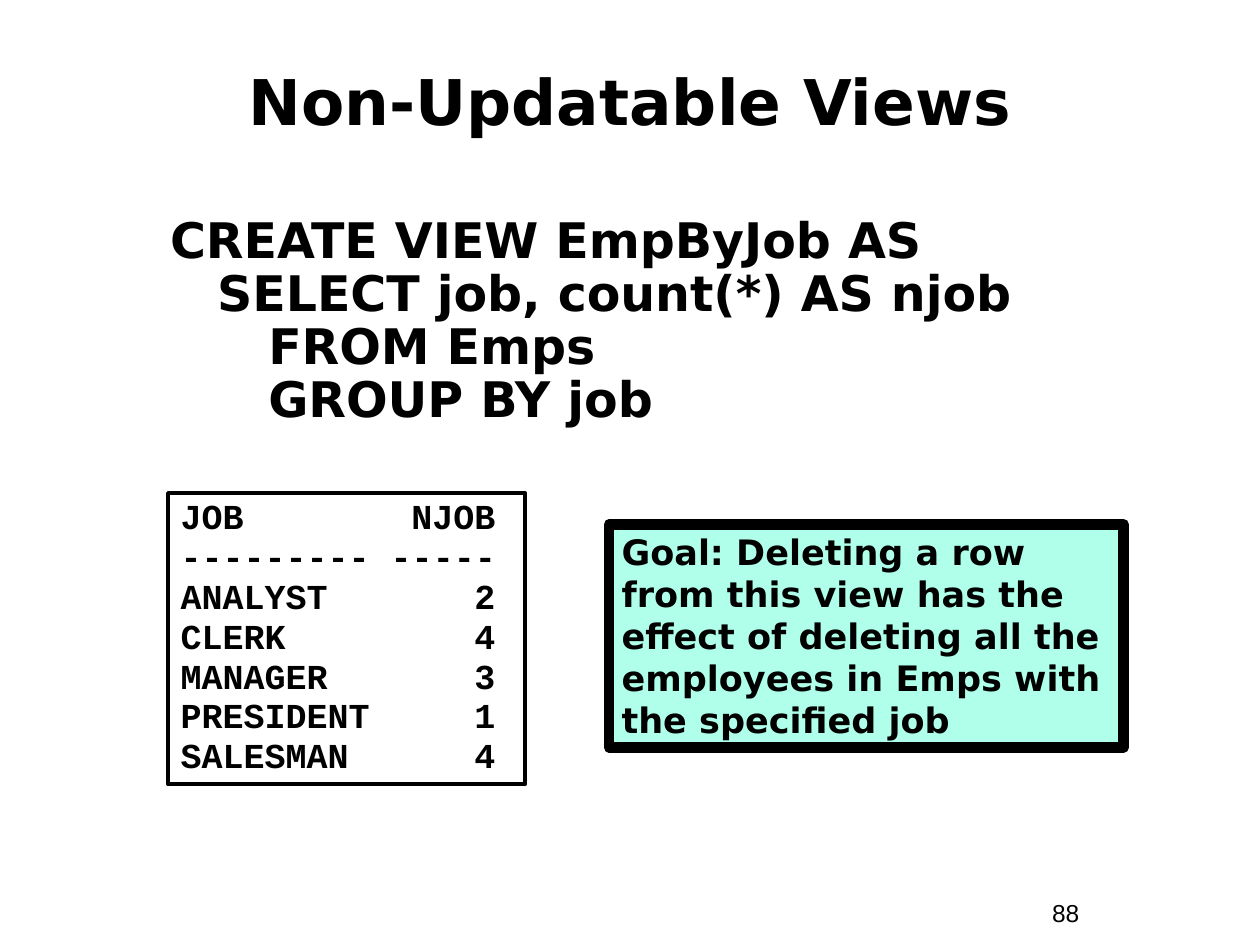
from dataclasses import dataclass
from typing import Optional

import pptx
import pptx.dml.color
import pptx.enum.shapes
import pptx.enum.text
import pptx.oxml
import pptx.oxml.ns
import pptx.util

Cm = pptx.util.Cm
Pt = pptx.util.Pt
ALIGN = pptx.enum.text.PP_ALIGN
ANCHOR = pptx.enum.text.MSO_ANCHOR


@dataclass(frozen=True)
class Theme:
    ink: str = "000000"
    goal_fill: str = "AFFFEA"
    sans: str = "DejaVu Sans"
    mono: str = "Courier New"
    plain: str = "Arial"
    title_size: int = 36
    code_size: int = 28
    box_size: int = 20
    number_size: int = 14


THEME = Theme()


@dataclass(frozen=True)
class Block:
    """A block of text; lengths in centimetres, sizes in points."""
    left: float
    top: float
    width: float
    height: float
    lines: tuple[str, ...]
    font: str
    size: int
    bold: bool = True
    align: ALIGN = ALIGN.LEFT
    anchor: ANCHOR = ANCHOR.TOP
    spacing: float = 1.0
    space_before: float = 0
    hanging: float = 0
    right_tab: float = 0
    border: float = 0
    fill: Optional[str] = None


TITLE = Block(0.85, 0.85, 23.7, 2.33, ("Non-Updatable Views",), THEME.sans,
              THEME.title_size, align=ALIGN.CENTER, anchor=ANCHOR.MIDDLE)

# A vertical tab is a line break inside the paragraph
VIEW_CODE = Block(3.18, 4.23, 18.85, 4.87,
                  ("CREATE VIEW EmpByJob AS \vSELECT job, count(*) AS njob  \v"
                   "   FROM Emps \v   GROUP BY job",),
                  THEME.sans, THEME.code_size, spacing=0.9, hanging=0.95)

JOB_COUNTS = (("ANALYST", 2), ("CLERK", 4), ("MANAGER", 3),
              ("PRESIDENT", 1), ("SALESMAN", 4))
RESULT = Block(3.39, 9.94, 7.2, 5.87,
               ("JOB\tNJOB", "--------- -----",
                *(f"{job}\t{count}" for job, count in JOB_COUNTS)),
               THEME.mono, THEME.box_size, spacing=0.9, space_before=1.2,
               right_tab=6.35, border=2.25)

GOAL = Block(12.28, 10.57, 10.37, 4.5,
             ("Goal: Deleting a row from this view has the effect of deleting "
              "all the employees in Emps with the specified job",),
             THEME.sans, THEME.box_size, border=6, fill=THEME.goal_fill)

PAGE_NUMBER = Block(20.96, 17.98, 2.33, 0.87, ("88",), THEME.plain,
                    THEME.number_size, bold=False)


def colour(value: str) -> pptx.dml.color.RGBColor:
    return pptx.dml.color.RGBColor.from_string(value)


def apply(target: object, values: dict) -> None:
    for name, value in values.items():
        setattr(target, name, value)


def set_indents(para, block: Block) -> None:
    """Add the hanging indent and the right tab stop, where there is one."""
    properties = para._p.get_or_add_pPr()
    if block.hanging:
        properties.set("marL", str(Cm(block.hanging)))
        properties.set("indent", str(-Cm(block.hanging)))
    if block.right_tab:
        properties.append(pptx.oxml.parse_xml(
            f'<a:tabLst {pptx.oxml.ns.nsdecls("a")}>'
            f'<a:tab pos="{Cm(block.right_tab)}" algn="r"/></a:tabLst>'))


def write(box, block: Block) -> None:
    """Place a box and fill it with formatted paragraphs."""
    apply(box, {"left": Cm(block.left), "top": Cm(block.top),
                "width": Cm(block.width), "height": Cm(block.height)})
    frame = box.text_frame
    apply(frame, {"word_wrap": True, "vertical_anchor": block.anchor,
                  "auto_size": pptx.enum.text.MSO_AUTO_SIZE.NONE})
    for index, line in enumerate(block.lines):
        para = frame.add_paragraph() if index else frame.paragraphs[0]
        para.text = line
        set_indents(para, block)
        apply(para, {"alignment": block.align, "line_spacing": block.spacing,
                     "space_before": Pt(block.space_before if index else 0)})
        for span in para.runs:
            apply(span.font, {"name": block.font, "size": Pt(block.size),
                              "bold": block.bold})
            span.font.color.rgb = colour(THEME.ink)


def add_text(page, block: Block) -> None:
    write(page.shapes.add_textbox(0, 0, 0, 0), block)


def add_framed(page, block: Block) -> None:
    box = page.shapes.add_shape(
        pptx.enum.shapes.MSO_SHAPE.RECTANGLE, 0, 0, 0, 0)
    box.shadow.inherit = False
    if block.fill:
        box.fill.solid()
        box.fill.fore_color.rgb = colour(block.fill)
    else:
        box.fill.background()
    box.line.color.rgb = colour(THEME.ink)
    box.line.width = Pt(block.border)
    write(box, block)


def main() -> None:
    deck = pptx.Presentation()
    apply(deck, {"slide_width": Cm(25.4), "slide_height": Cm(19.05)})
    page = deck.slides.add_slide(deck.slide_layouts.get_by_name("Title Only"))

    # Title and page number
    write(page.shapes.title, TITLE)
    add_text(page, PAGE_NUMBER)

    # View definition
    add_text(page, VIEW_CODE)

    # Query result and the goal beside it
    for block in (RESULT, GOAL):
        add_framed(page, block)

    deck.save("out.pptx")


if __name__ == "__main__":
    main()
